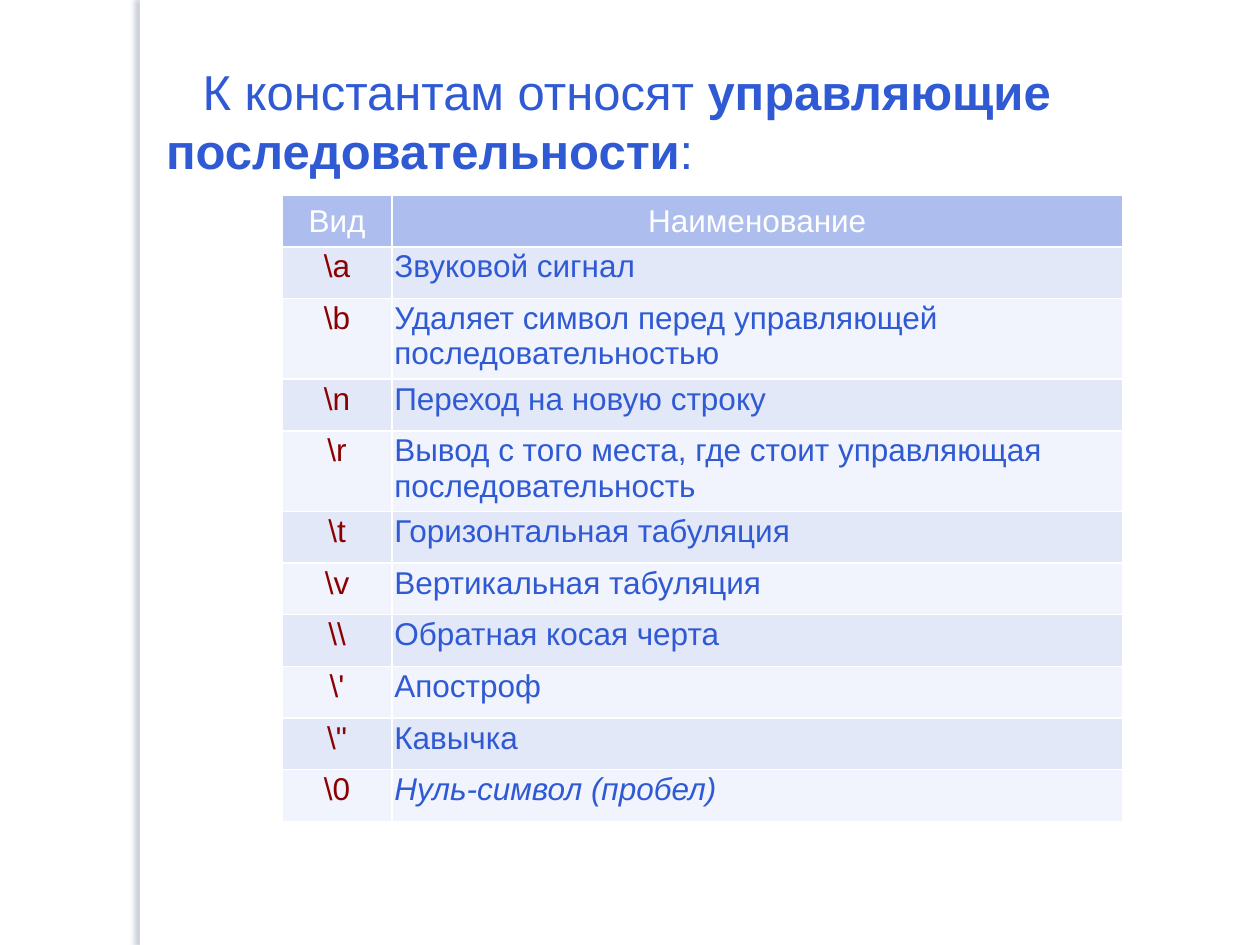
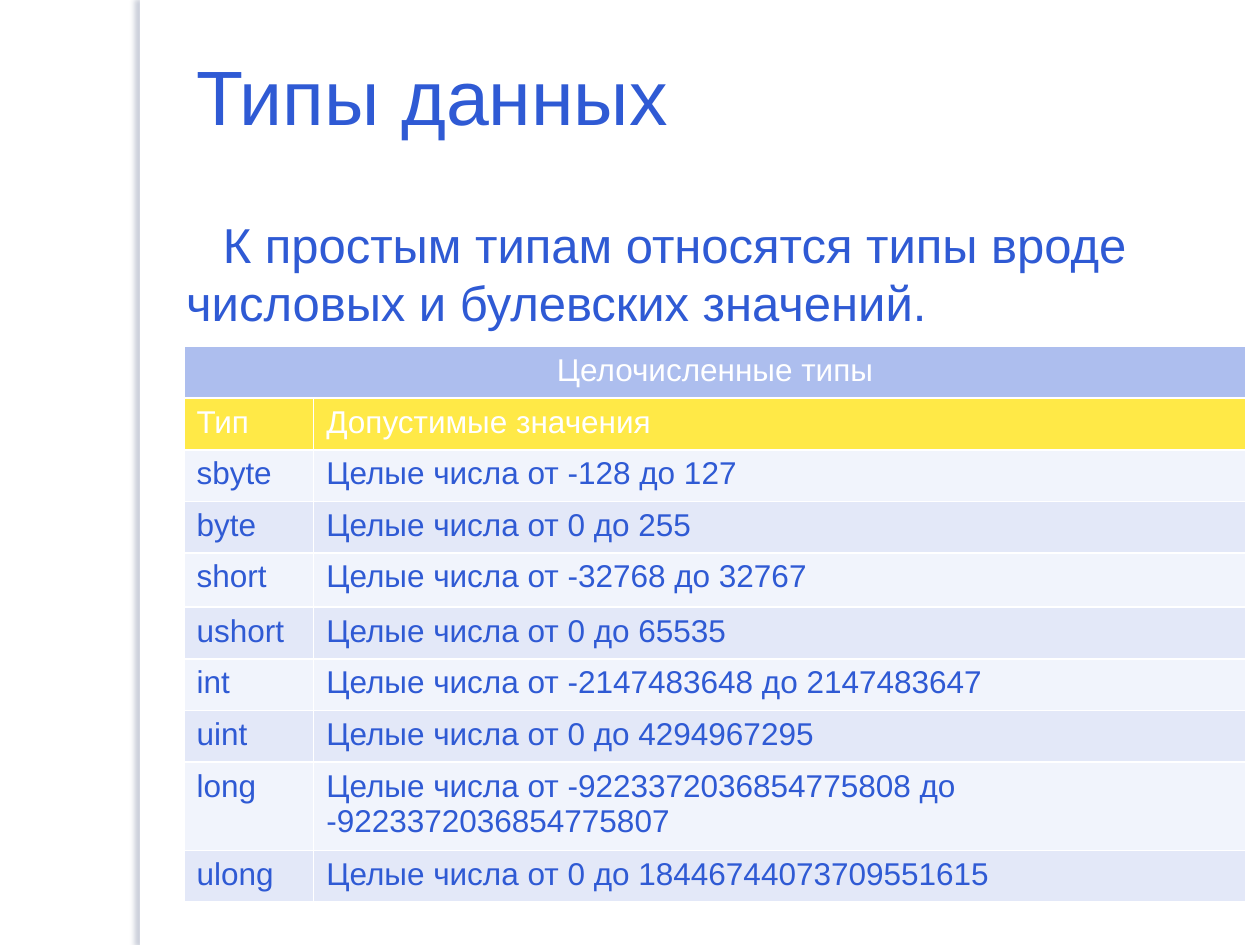
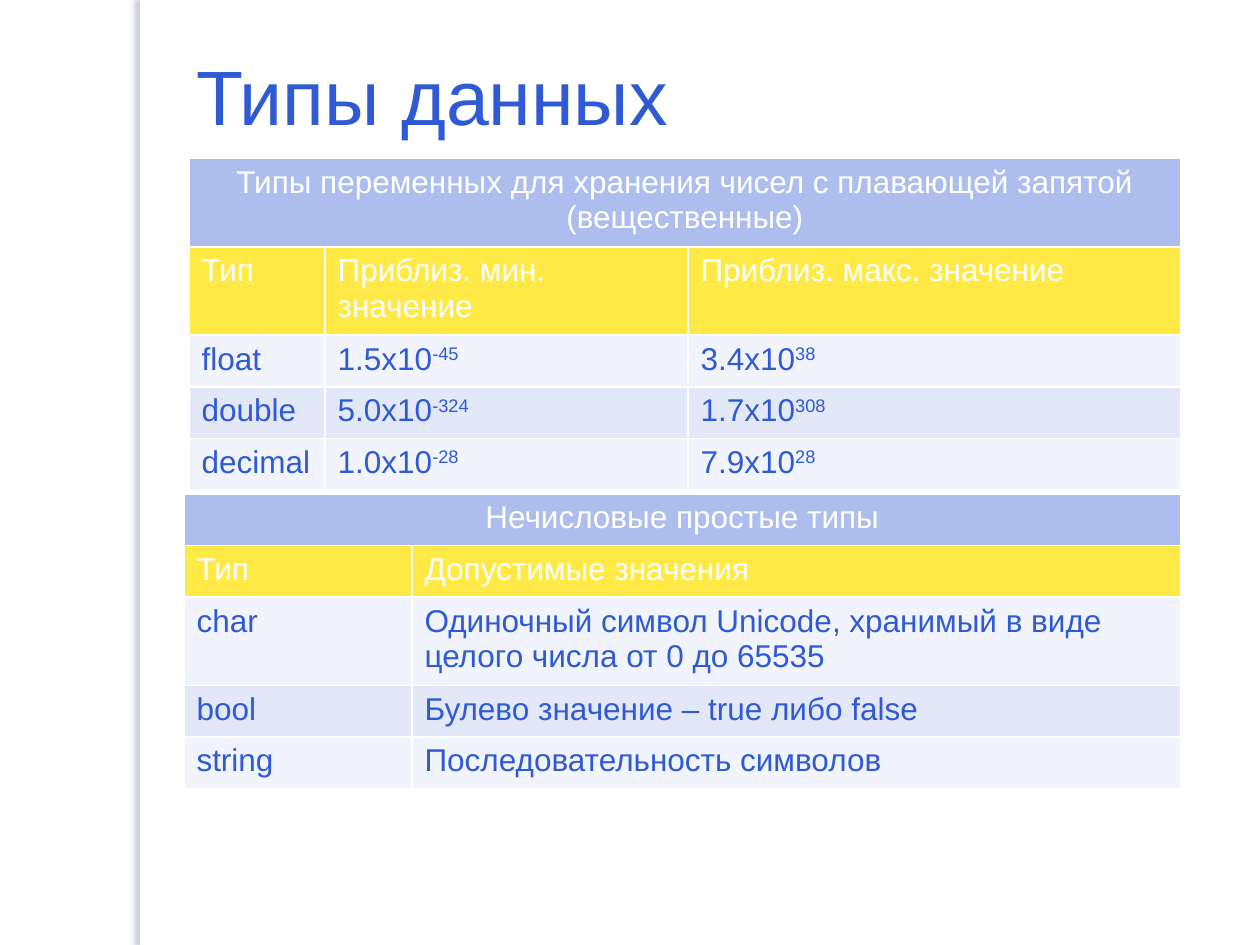
from lxml.etree import SubElement as Sub
from pptx import Presentation as Deck
from pptx.dml.color import RGBColor as Rgb
from pptx.enum.shapes import MSO_SHAPE as Shape
from pptx.enum.text import MSO_ANCHOR as Anchor, PP_ALIGN as Align
from pptx.oxml.ns import qn
from pptx.util import Inches, Pt

BLUE, WHITE, RED = "2F5AD4", "FFFFFF", "8B0000"
HEAD, GOLD, SHADE = "ADBEEE", "FFE947", "384873"
BANDS = "F1F4FC", "E3E8F8"
ROW = 0.41


def color(code):
    """Turn a hex string into a colour."""
    return Rgb.from_string(code)


def apply(item, **form):
    """Set each attribute of an object from its format values."""
    for name, value in form.items():
        setattr(item, name, value)


def node(parent, tag, **attrs):
    """Add a drawing element with its attributes."""
    return Sub(parent, qn(tag), {key: str(val) for key, val in attrs.items()})


def power(base, exp):
    """Give the runs of a number with a raised exponent."""
    return [(base, {}), (exp, {"rise": 30000})]


class Show:
    """Hold the style and the current slide."""

    def __init__(self):
        """Start an empty deck."""
        self.deck = Deck()
        apply(self.deck, slide_width=Inches(10), slide_height=Inches(7.5))

    def page(self):
        """Add a slide with the shared side band."""
        self.slide = self.deck.slides.add_slide(self.deck.slide_layouts[6])
        self.band()

    def band(self):
        """Draw the white band whose shadow falls to the left."""
        bar = self.slide.shapes.add_shape(Shape.RECTANGLE, Inches(1.11), 0, Inches(0.08), Inches(7.5))
        bar.fill.solid()
        bar.fill.fore_color.rgb = color(WHITE)
        bar.line.fill.background()
        bar.shadow.inherit = False
        glow = bar._element.spPr.find(qn("a:effectLst"))
        cast = node(glow, "a:outerShdw", blurRad=Pt(3), dist=Pt(3), dir=180 * 60000, rotWithShape=0)
        tint = node(cast, "a:srgbClr", val=SHADE)
        node(tint, "a:alpha", val=25000)

    def runs(self, para, text, size, ink):
        """Fill a paragraph with plain text or a list of runs."""
        parts = [(text, {})] if isinstance(text, str) else text
        for words, extra in parts:
            run = para.add_run()
            run.text = words
            form = {"name": "Arial", "size": Pt(size), "bold": False, **extra}
            rise = form.pop("rise", None)
            apply(run.font, **form)
            run.font.color.rgb = color(ink)
            if rise:
                run._r.get_or_add_rPr().set("baseline", str(rise))

    def text(self, spot, text, size, indent=0, **form):
        """Place a wrapped text box."""
        frame = self.slide.shapes.add_textbox(*map(Inches, spot)).text_frame
        apply(frame, word_wrap=True, **form)
        para = frame.paragraphs[0]
        para._p.get_or_add_pPr().set("indent", str(Inches(indent)))
        self.runs(para, text, size, BLUE)

    def title(self, text):
        """Place the slide title."""
        self.text((1.46, 0.25, 7.52, 1), text, 44, vertical_anchor=Anchor.MIDDLE)

    def body(self, spot, text):
        """Place the opening statement."""
        self.text(spot, text, 28, indent=0.29)

    def cell(self, cell, text, fill, ink, align, pad, anchor=Anchor.TOP):
        """Fill and frame one table cell."""
        apply(cell, margin_left=Inches(pad[0]), margin_right=Inches(pad[0]),
              margin_top=Inches(pad[1]), margin_bottom=Inches(pad[1]),
              vertical_anchor=anchor)
        para = cell.text_frame.paragraphs[0]
        para.alignment = align
        self.runs(para, text, 18, ink)
        props = cell._tc.get_or_add_tcPr()
        for side in "LRTB":
            line = node(props, f"a:ln{side}", w=Pt(1))
            node(node(line, "a:solidFill"), "a:srgbClr", val=WHITE)
        cell.fill.solid()
        cell.fill.fore_color.rgb = color(fill)

    def grid(self, left, top, cols, rows, tall=None):
        """Add an empty table; tall maps a row to its own height."""
        highs = [(tall or {}).get(i, ROW) for i in range(rows)]
        spot = map(Inches, (left, top, sum(cols), sum(highs)))
        table = self.slide.shapes.add_table(rows, len(cols), *spot).table
        apply(table, first_row=False, horz_banding=False)
        for col, wide in zip(table.columns, cols):
            col.width = Inches(wide)
        for row, high in zip(table.rows, highs):
            row.height = Inches(high)
        return table

    def codes(self, left, top, cols, rows, tall):
        """Add the table of escape codes."""
        table = self.grid(left, top, cols, len(rows), tall)
        for i, row in enumerate(rows):
            for j, text in enumerate(row):
                fill = BANDS[i % 2] if i else HEAD
                ink = (BLUE if j else RED) if i else WHITE
                align = Align.LEFT if i and j else Align.CENTER
                anchor = Anchor.TOP if i else Anchor.MIDDLE
                self.cell(table.cell(i, j), text, fill, ink, align, (0.02, 0.02), anchor)

    def types(self, left, top, cols, name, rows, tall=None):
        """Add a table of types under one merged heading."""
        table = self.grid(left, top, cols, len(rows) + 1, tall)
        pad = 0.1, 0.05
        first = table.cell(0, 0)
        first.merge(table.cell(0, len(cols) - 1))
        self.cell(first, name, HEAD, WHITE, Align.CENTER, pad)
        for i, row in enumerate(rows, 1):
            fill, ink = (GOLD, WHITE) if i == 1 else (BANDS[i % 2], BLUE)
            for j, text in enumerate(row):
                self.cell(table.cell(i, j), text, fill, ink, Align.LEFT, pad)


CODES = [
    ("Вид", "Наименование"),
    (r"\a", "Звуковой сигнал"),
    (r"\b", "Удаляет символ перед управляющей последовательностью"),
    (r"\n", "Переход на новую строку"),
    (r"\r", "Вывод с того места, где стоит управляющая последовательность"),
    (r"\t", "Горизонтальная табуляция"),
    (r"\v", "Вертикальная табуляция"),
    ("\\\\", "Обратная косая черта"),
    (r"\'", "Апостроф"),
    (r'\"', "Кавычка"),
    (r"\0", [("Нуль-символ (пробел)", {"italic": True})]),
]
LIMITS = [
    ("sbyte", "-128", "127"),
    ("byte", "0", "255"),
    ("short", "-32768", "32767"),
    ("ushort", "0", "65535"),
    ("int", "-2147483648", "2147483647"),
    ("uint", "0", "4294967295"),
    ("long", "-9223372036854775808", "-9223372036854775807"),
    ("ulong", "0", "18446744073709551615"),
]
REALS = [
    ("Тип", "Приблиз. мин. значение", "Приблиз. макс. значение"),
    ("float", power("1.5x10", "-45"), power("3.4x10", "38")),
    ("double", power("5.0x10", "-324"), power("1.7x10", "308")),
    ("decimal", power("1.0x10", "-28"), power("7.9x10", "28")),
]
LABELS = "Тип", "Допустимые значения"
OTHERS = [
    LABELS,
    ("char", "Одиночный символ Unicode, хранимый в виде целого числа от 0 до 65535"),
    ("bool", "Булево значение – true либо false"),
    ("string", "Последовательность символов"),
]


def main():
    """Build and save the deck."""
    show = Show()

    show.page()
    show.body((1.22, 0.44, 8.43, 5.18), [
        ("К константам относят", {}),
        (" управляющие последовательности", {"bold": True}),
        (":", {}),
    ])
    show.codes(2.24, 1.55, (0.87, 5.8), CODES, {2: 0.64, 4: 0.64})

    show.page()
    show.title("Типы данных")
    show.body((1.38, 1.65, 8.03, 5.48),
              "К простым типам относятся типы вроде числовых и булевских значений.")
    whole = [(kind, f"Целые числа от {low} до {high}") for kind, low, high in LIMITS]
    show.types(1.46, 2.75, (1.03, 7.4), "Целочисленные типы", [LABELS, *whole], {4: 0.43})

    show.page()
    show.title("Типы данных")
    show.types(1.5, 1.26, (1.08, 2.88, 3.91),
               "Типы переменных для хранения чисел с плавающей запятой (вещественные)",
               REALS, {0: 0.7})
    show.types(1.46, 3.92, (1.81, 6.1), "Нечисловые простые типы", OTHERS, {2: 0.7})

    show.deck.save("out.pptx")


if __name__ == "__main__":
    main()
